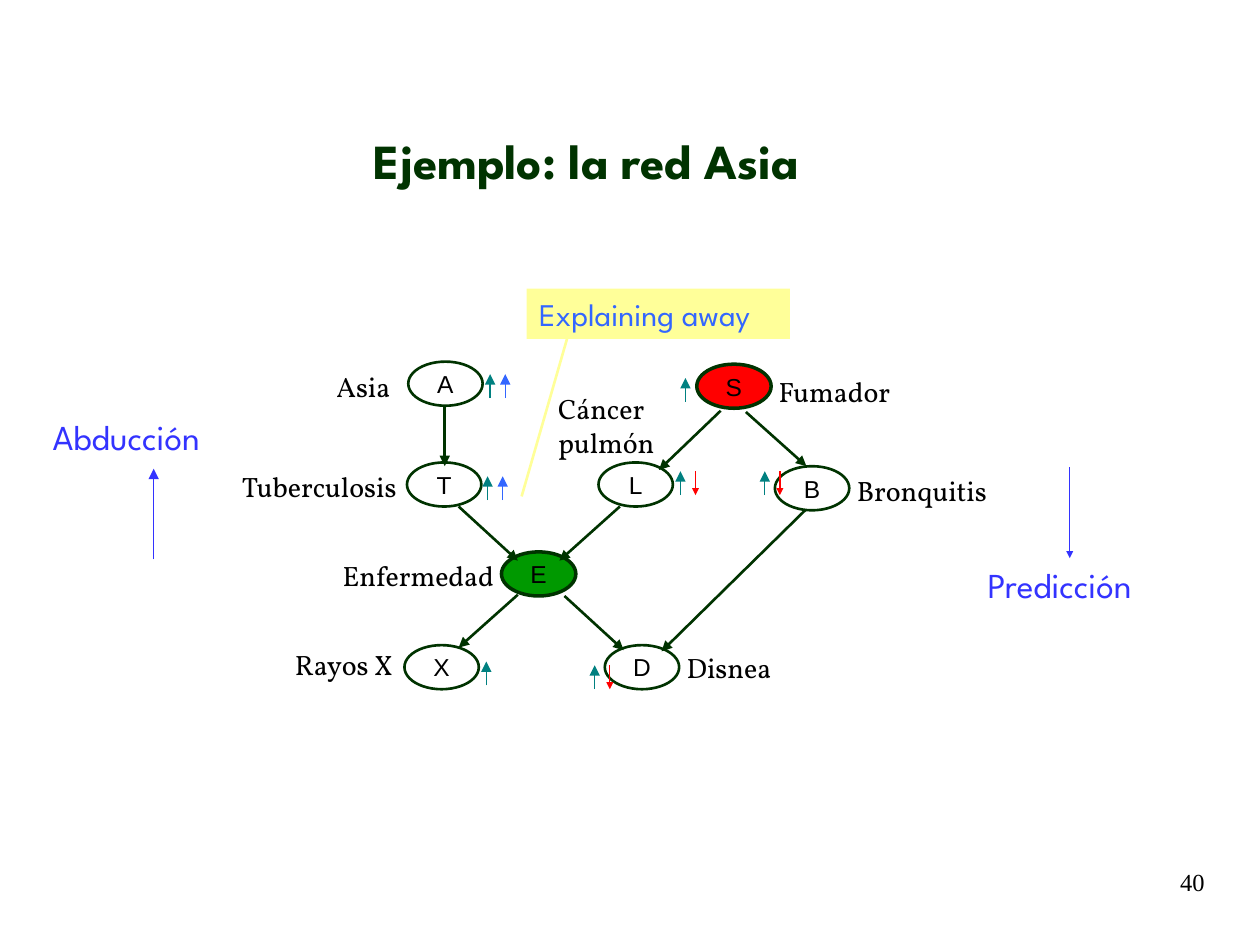
from lxml import etree
from pptx import Presentation
from pptx.dml.color import RGBColor
from pptx.enum import shapes, text
from pptx.oxml import ns
from pptx.util import Inches, Pt

COLORS = {"ink": "003300", "black": "000000", "smoker": "FF0000", "disease": "009900",
          "teal": "008080", "blue": "3366FF", "red": "FF0000", "note": "FFFF99",
          "side": "3333FF"}
NODE_W, NODE_H = 0.59, 0.35
NODES = [("A", 1.34, 0.07, None), ("T", 1.33, 0.87, None), ("L", 2.85, 0.87, None),
         ("B", 4.25, 0.9, None), ("S", 3.63, 0.09, "smoker"), ("E", 2.08, 1.58, "disease"),
         ("X", 1.31, 2.32, None), ("D", 2.9, 2.32, None)]
EDGES = [(1.63, 0.43, 1.63, 0.9), (3.02, 1.22, 2.54, 1.65), (3.82, 0.46, 3.33, 0.93),
         (2.21, 1.92, 1.74, 2.34), (1.74, 1.22, 2.21, 1.65), (2.58, 1.93, 3.05, 2.36),
         (4.02, 0.47, 4.5, 0.9), (4.49, 1.25, 3.35, 2.37)]
LABELS = [("Asia", 0.77, 0.13, 0.5, 0.27), ("Tuberculosis", 0.02, 0.93, 1.31, 0.53),
          ("Cáncer pulmón", 2.53, 0.31, 1.31, 0.53), ("Fumador", 4.28, 0.17, 1.31, 0.27),
          ("Bronquitis", 4.9, 0.96, 1.31, 0.27), ("Rayos X", 0.44, 2.34, 0.88, 0.27),
          ("Disnea", 3.55, 2.36, 1.31, 0.27), ("Enfermedad", 0.82, 1.63, 1.23, 0.53)]
EVIDENCE = [(1.99, 0.17, "blue"), (1.97, 0.98, "blue"), (1.96, 2.45, None),
            (2.82, 2.48, "red"), (3.54, 0.2, None), (3.5, 0.94, "red"), (4.17, 0.94, "red")]
ARROW_H, ARROW_GAP = 0.19, 0.12


def rgb(name):
    return RGBColor.from_string(COLORS[name])


def write(sp, content, font, size, color, bold=False, align=text.PP_ALIGN.LEFT,
          anchor=text.MSO_ANCHOR.TOP, inset=(0.1, 0.05), before=0):
    tf = sp.text_frame
    tf.word_wrap = True
    tf.vertical_anchor = anchor
    tf.margin_left = tf.margin_right = Inches(inset[0])
    tf.margin_top = tf.margin_bottom = Inches(inset[1])
    p = tf.paragraphs[0]
    p.alignment = align
    p.space_before = Pt(before)
    r = p.add_run()
    r.text = content
    r.font.name, r.font.size, r.font.bold = font, Pt(size), bold
    r.font.color.rgb = rgb(color)


def add_text(s, box, content, **fmt):
    write(s.shapes.add_textbox(*map(Inches, box)), content, **fmt)


def add_line(s, x1, y1, x2, y2, color, width, head=None):
    c = s.shapes.add_connector(shapes.MSO_CONNECTOR.STRAIGHT, *map(Inches, (x1, y1, x2, y2)))
    c.line.color.rgb = rgb(color)
    c.line.width = Pt(width)
    if head:
        etree.SubElement(c.line._get_or_add_ln(), ns.qn("a:tailEnd"),
                         type="triangle", w=head, len=head)
    etree.SubElement(c._element.spPr, ns.qn("a:effectLst"))


def add_shape(s, kind, box, fill=None, line=None, width=1.5):
    sp = s.shapes.add_shape(kind, *map(Inches, box))
    sp.shadow.inherit = False
    if fill:
        sp.fill.solid()
        sp.fill.fore_color.rgb = rgb(fill)
    else:
        sp.fill.background()
    if line:
        sp.line.color.rgb = rgb(line)
        sp.line.width = Pt(width)
    else:
        sp.line.fill.background()
    return sp


def add_network(s, x, y):
    for name, dx, dy, fill in NODES:
        sp = add_shape(s, shapes.MSO_SHAPE.OVAL, (x + dx, y + dy, NODE_W, NODE_H),
                       fill, "ink", 2 if fill else 1.5)
        write(sp, name, font="Arial", size=14, color="black", inset=(0, 0),
              align=text.PP_ALIGN.CENTER, anchor=text.MSO_ANCHOR.MIDDLE)
    for x1, y1, x2, y2 in EDGES:
        add_line(s, x + x1, y + y1, x + x2, y + y2, "ink", 1.5, "med")
    for label, dx, dy, w, h in LABELS:
        add_text(s, (x + dx, y + dy, w, h), label, font="Vollkorn", size=16,
                 color="black", inset=(0, 0), before=10)
    for dx, dy, second in EVIDENCE:
        left, top = x + dx, y + dy
        bottom = top + ARROW_H
        add_line(s, left, bottom, left, top, "teal", 0.75, "med")
        left += ARROW_GAP
        if second == "blue":
            add_line(s, left, bottom, left, top, "blue", 0.75, "med")
        elif second == "red":
            add_line(s, left, top, left, bottom, "red", 0.75, "sm")


def add_callout(s, x, y, w, h):
    sp = add_shape(s, shapes.MSO_SHAPE.RECTANGLE, (x, y, w, h), "note")
    write(sp, "Explaining away", font="League Spartan", size=18, color="blue")
    add_line(s, x + 0.32, y + h, x - 0.04, y + 1.65, "note", 1.5)


def add_direction(s, box, label, arrow_x, start, end, head):
    x, y = box[:2]
    add_line(s, x + arrow_x, y + start, x + arrow_x, y + end, "side", 0.75, head)
    add_text(s, box, label, font="League Spartan", size=20, color="side", before=12.5)


def main():
    prs = Presentation()
    prs.slide_width, prs.slide_height = Inches(10), Inches(7.5)
    s = prs.slides.add_slide(prs.slide_layouts[6])
    add_text(s, (0.26, 0.98, 8.79, 0.57), "Ejemplo: la red Asia", font="League Spartan",
             size=28, color="ink", bold=True, align=text.PP_ALIGN.CENTER,
             anchor=text.MSO_ANCHOR.BOTTOM)
    add_network(s, 1.9, 2.8)
    add_callout(s, 4.18, 2.29, 2.09, 0.4)
    add_direction(s, (0.32, 3.25, 2.01, 0.44), "Abducción", 0.9, 1.19, 0.47, "med")
    add_direction(s, (7.74, 4.42, 1.65, 0.44), "Predicción", 0.75, -0.71, 0.01, "sm")
    add_text(s, (8.08, 6.83, 1.58, 0.42), "40", font="Times New Roman", size=14,
             color="black", align=text.PP_ALIGN.RIGHT)
    prs.save("out.pptx")


if __name__ == "__main__":
    main()
